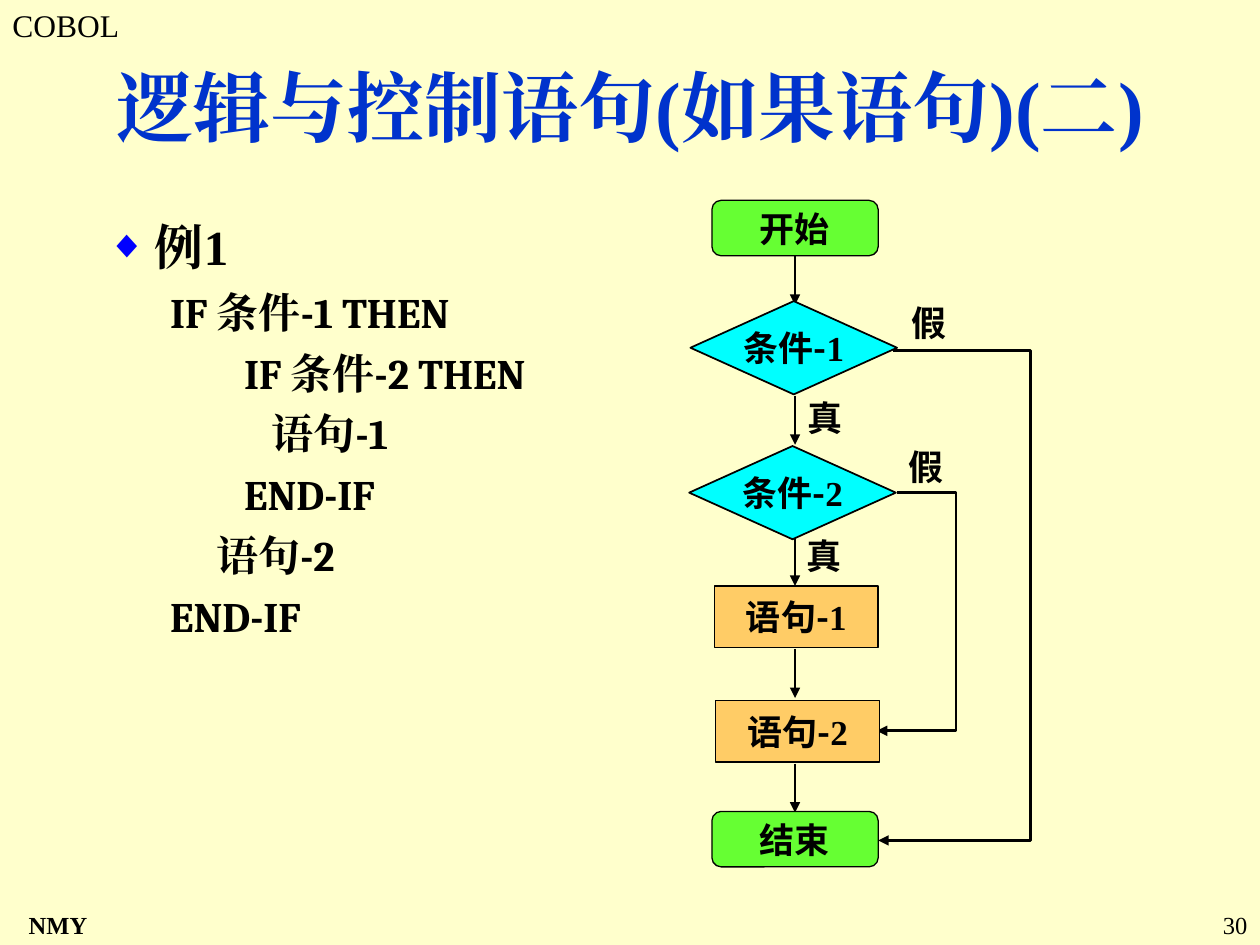
"""Build a slide on nested COBOL IF statements with a flowchart."""
import pptx
import pptx.dml.color
import pptx.enum.shapes
import pptx.enum.text
import pptx.oxml
import pptx.oxml.ns
import pptx.util
from lxml import etree

Inches, Pt = pptx.util.Inches, pptx.util.Pt
RGB = pptx.dml.color.RGBColor.from_string
qn = pptx.oxml.ns.qn
MSO = pptx.enum.shapes.MSO_SHAPE
CONN = pptx.enum.shapes.MSO_CONNECTOR
ALIGN = pptx.enum.text.PP_ALIGN
ANCHOR = pptx.enum.text.MSO_ANCHOR

THEME = {
    "back": "FFFFCC", "ink": "000000", "title": "0033CC", "bullet": "0000FF",
    "terminal": "66FF33", "decision": "00FFFF", "step": "FFCC66",
    "latin": "Times New Roman", "code": "Cambria", "cjk": "Noto Sans CJK SC",
    "title_size": 44, "lead_size": 28, "code_size": 24, "flow_size": 20,
    "header_size": 18, "footer_size": 14,
}


def write(p, text, size, font="latin", bold=True, color="ink", align=None):
    p.alignment = align
    r = p.add_run()
    r.text = text
    fmt = {"size": Pt(THEME[size]), "name": THEME[font], "bold": bold}
    for key, value in fmt.items():
        setattr(r.font, key, value)
    r.font.color.rgb = RGB(THEME[color])
    etree.SubElement(r.font._element, qn("a:ea"), typeface=THEME[font])


def frame(sp, wrap=True, anchor=ANCHOR.MIDDLE):
    tf = sp.text_frame
    fmt = {"word_wrap": wrap, "vertical_anchor": anchor,
           "auto_size": pptx.enum.text.MSO_AUTO_SIZE.NONE,
           "margin_left": Inches(0.1), "margin_right": Inches(0.1),
           "margin_top": Inches(0.05), "margin_bottom": Inches(0.05)}
    for key, value in fmt.items():
        setattr(tf, key, value)
    return tf


prs = pptx.Presentation()
prs.slide_width, prs.slide_height = Inches(10), Inches(7.5)
s = prs.slides.add_slide(prs.slide_layouts[1])
s.background.fill.solid()
s.background.fill.fore_color.rgb = RGB(THEME["back"])

title, body = s.placeholders
for sp, box in ((title, (0.75, 0.42, 8.5, 0.83)), (body, (0.75, 1.67, 4.25, 5))):
    sp.left, sp.top, sp.width, sp.height = map(Inches, box)
write(frame(title).paragraphs[0], "逻辑与控制语句(如果语句)(二)", "title_size",
      color="title", align=ALIGN.CENTER)

tf = frame(body, anchor=ANCHOR.TOP)
p = tf.paragraphs[0]
pPr = p._p.get_or_add_pPr()
pPr.set("marL", str(Inches(0.38)))
pPr.set("indent", str(-Inches(0.38)))
color = etree.SubElement(pPr, qn("a:buClr"))
etree.SubElement(color, qn("a:srgbClr"), val=THEME["bullet"])
etree.SubElement(pPr, qn("a:buSzPct"), val="80000")
etree.SubElement(pPr, qn("a:buChar"), char="◆")
p.space_before = Pt(0)
write(p, "例1", "lead_size")

code = """IF 条件-1 THEN
        IF 条件-2 THEN
           语句-1
        END-IF
     语句-2
END-IF"""
for line in code.split("\n"):
    p = tf.add_paragraph()
    p.level = 1
    pPr = p._p.get_or_add_pPr()
    pPr.set("marL", str(Inches(0.81)))
    pPr.set("indent", str(-Inches(0.31)))
    etree.SubElement(pPr, qn("a:buNone"))
    p.space_before = Pt(6)
    write(p, line, "code_size", "code")

arrows = [((6.31, y), (6.31, y + 0.39), None) for y in (2.03, 3.14, 4.26, 5.15, 6.06)]
arrows += [((7.09, 2.78), (6.97, 6.67), 8.18), ((7.12, 3.91), (6.96, 5.8), 7.59)]
for start, end, bend in arrows:
    kind = CONN.ELBOW if bend else CONN.STRAIGHT
    c = s.shapes.add_connector(kind, *map(Inches, start + end))
    c.line.color.rgb = RGB(THEME["ink"])
    c.line.width = Pt(1.5)
    etree.SubElement(c.line._get_or_add_ln(), qn("a:tailEnd"), type="triangle")
    etree.SubElement(c._element.spPr, qn("a:effectLst"))
    if bend:
        ratio = round((bend - start[0]) / (end[0] - start[0]) * 100000)
        guides = c._element.spPr.find(qn("a:prstGeom")).get_or_add_avLst()
        etree.SubElement(guides, qn("a:gd"), name="adj1", fmla=f"val {ratio}")

TERMINAL = (MSO.FLOWCHART_ALTERNATE_PROCESS, "terminal", 1.32, 0.44, 0.75)
DECISION = (MSO.DIAMOND, "decision", 1.64, 0.74, 1)
STEP = (MSO.RECTANGLE, "step", 1.3, 0.49, 1)
nodes = [
    (TERMINAL, 5.65, 1.59, "开始", ""), (DECISION, 5.48, 2.39, "条件-", "1"),
    (DECISION, 5.47, 3.54, "条件-", "2"), (STEP, 5.67, 4.65, "语句-", "1"),
    (STEP, 5.68, 5.56, "语句-", "2"), (TERMINAL, 5.65, 6.44, "结束", ""),
]
for (shape, fill, w, h, weight), x, y, word, number in nodes:
    sp = s.shapes.add_shape(shape, *map(Inches, (x, y, w, h)))
    sp.shadow.inherit = False
    sp.fill.solid()
    sp.fill.fore_color.rgb = RGB(THEME[fill])
    sp.line.color.rgb = RGB(THEME["ink"])
    sp.line.width = Pt(weight)
    p = frame(sp, wrap=False).paragraphs[0]
    write(p, word, "flow_size", "cjk", align=ALIGN.CENTER)
    if number:
        write(p, number, "flow_size", align=ALIGN.CENTER)

branches = [("真", 6.31, 3.09), ("真", 6.3, 4.19), ("假", 7.13, 2.34), ("假", 7.11, 3.48)]
for text, x, y in branches:
    sp = s.shapes.add_textbox(*map(Inches, (x, y, 0.48, 0.44)))
    write(frame(sp, wrap=False).paragraphs[0], text, "flow_size", "cjk", align=ALIGN.CENTER)

margins = [
    ("COBOL", (0, 0, 1.17, 0.4), "header_size", False, ALIGN.LEFT),
    ("NMY", (0, 7.17, 0.92, 0.33), "footer_size", True, ALIGN.CENTER),
    ("30", (9.33, 7.17, 0.67, 0.33), "footer_size", False, ALIGN.RIGHT),
]
for text, box, size, bold, align in margins:
    sp = s.shapes.add_textbox(*map(Inches, box))
    write(frame(sp, anchor=ANCHOR.TOP).paragraphs[0], text, size, bold=bold, align=align)

prs.save("out.pptx")
